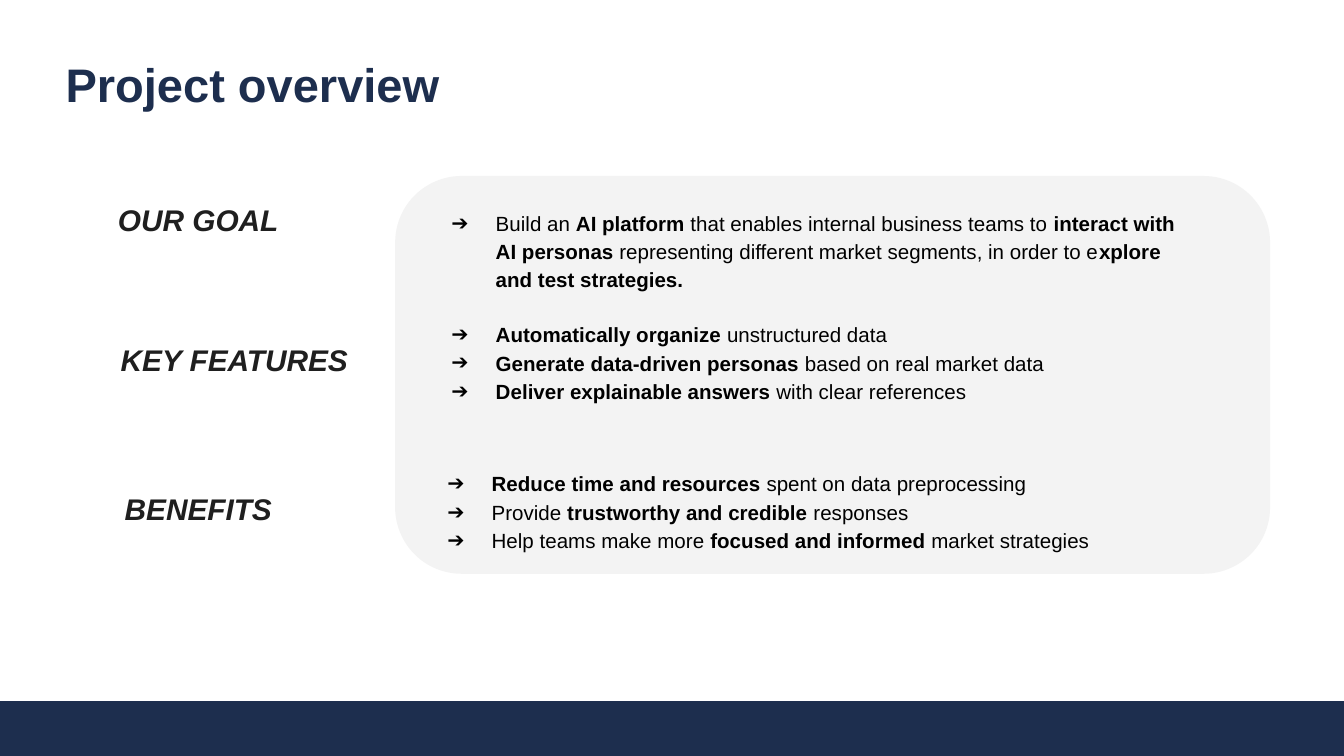
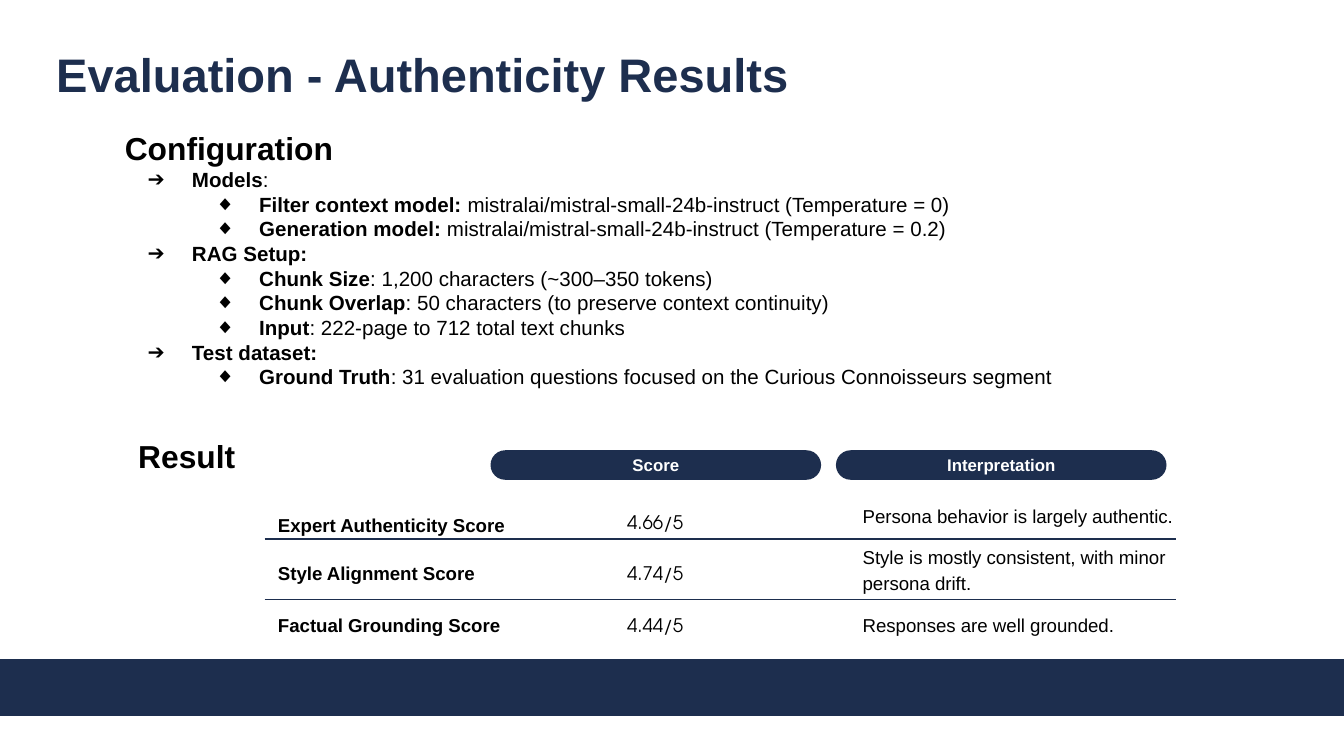
from lxml import etree
from pptx import Presentation
from pptx.dml.color import RGBColor
from pptx.enum import shapes as es, text as et
from pptx.oxml.ns import qn
from pptx.util import Inches, Pt

NAVY, BLACK, WHITE = "1D2E4E", "000000", "FFFFFF"
INK, PALE = "1F1F1F", "F3F3F3"
SANS, ROUND = "Arial", "TeX Gyre Adventor"
LEVELS = {"➔": 0, "◆": 1}
WIDE = 10
HIGH = WIDE * 9 / 16


def color(value):
    return RGBColor.from_string(value)


def bullet(para, sign):
    """Give a paragraph its hanging indent and bullet sign."""
    level = LEVELS[sign]
    para.level = level
    props = para._p.get_or_add_pPr()
    props.set("marL", str(Inches(0.5 * (level + 1))))
    props.set("indent", str(Inches(-0.33)))
    tint = etree.SubElement(props, qn("a:buClr"))
    etree.SubElement(tint, qn("a:srgbClr"), val=BLACK)
    etree.SubElement(props, qn("a:buFont"), typeface=SANS)
    etree.SubElement(props, qn("a:buChar"), char=sign)


def write(frame, lines, size=11, font=SANS, tint=BLACK, bold=False,
          italic=False, align=None, space=None, foot=0.1, head=None):
    """Fill a frame; *stars* switch bold, a leading sign makes a bullet,
    and head is the size of the first line."""
    frame.word_wrap = True
    frame.margin_left = frame.margin_right = frame.margin_top = Inches(0.1)
    frame.margin_bottom = Inches(foot)
    for i, line in enumerate(lines.split("\n")):
        para = frame.paragraphs[0] if i == 0 else frame.add_paragraph()
        if line[0] in LEVELS:
            bullet(para, line[0])
            line = line[1:]
        para.alignment = align
        if space:
            para.line_spacing = space
        for j, part in enumerate(line.split("*")):
            if not part:
                continue
            run = para.add_run()
            run.text = part
            run.font.size = Pt(head if head and i == 0 else size)
            run.font.name = font
            run.font.bold = bold or j % 2 == 1
            run.font.italic = italic
            run.font.color.rgb = color(tint)


def label(slide, lines, left, top, width, height, **style):
    box = slide.shapes.add_textbox(
        Inches(left), Inches(top), Inches(width), Inches(height))
    write(box.text_frame, lines, **style)


def block(slide, kind, left, top, width, height, fill, edge=None, bend=None):
    shape = slide.shapes.add_shape(
        kind, Inches(left), Inches(top), Inches(width), Inches(height))
    shape.shadow.inherit = False
    shape.fill.solid()
    shape.fill.fore_color.rgb = color(fill)
    if edge:
        shape.line.color.rgb = color(edge)
        shape.line.width = Pt(0.75)
    else:
        shape.line.fill.background()
    if bend is not None:
        shape.adjustments[0] = bend
    return shape


def rule(slide, left, top, width):
    line = slide.shapes.add_connector(
        es.MSO_CONNECTOR.STRAIGHT, Inches(left), Inches(top),
        Inches(left + width), Inches(top))
    line.line.color.rgb = color(NAVY)
    line.line.width = Pt(0.75)
    etree.SubElement(line._element.spPr, qn("a:effectLst"))


def title(slide, words, left, top, width):
    label(slide, words, left, top, width, 0.63,
          size=25.2, tint=NAVY, bold=True)


def band(slide, top):
    block(slide, es.MSO_SHAPE.RECTANGLE, 0, top, WIDE, 0.41, NAVY, NAVY)


def panel(slide, left, top):
    """Grey card with three bullet lists and their headings at its left."""
    block(slide, es.MSO_SHAPE.ROUNDED_RECTANGLE, left, top, 6.51, 2.96,
          PALE, bend=0.167)
    # heading, its x, y and width, then the list's x, y, width and lines
    parts = [
        ("OUR GOAL", -2.16, 0.09, 1.46, 0.15, 0.13, 5.88,
         "➔Build an *AI platform *that enables internal business teams to "
         "*interact with AI personas* representing different market "
         "segments, in order to e*xplore and test strategies.*"),
        ("KEY FEATURES", -2.14, 1.13, 2.01, 0.15, 0.96, 6.32,
         "➔*Automatically organize* unstructured data\n"
         "➔*Generate data-driven personas *based on real market data\n"
         "➔*Deliver explainable answers* with clear references"),
        ("BENEFITS", -2.11, 2.24, 1.37, 0.12, 2.07, 5.44,
         "➔*Reduce time and resources *spent on data preprocessing\n"
         "➔Provide* trustworthy and credible *responses\n"
         "➔Help teams make more *focused and informed* market strategies"),
    ]
    for name, x, y, wide, lx, ly, span, lines in parts:
        label(slide, name, left + x, top + y, wide, 0.47,
              size=16, tint=INK, bold=True, italic=True)
        label(slide, lines, left + lx, top + ly, span, 0.81, space=1.15)


def setup(slide, left, top):
    label(slide,
          "*Configuration*\n"
          "➔*Models*:\n"
          "◆*Filter context model: *"
          "mistralai/mistral-small-24b-instruct (Temperature = 0)\n"
          "◆*Generation model:* "
          "mistralai/mistral-small-24b-instruct (Temperature = 0.2)\n"
          "➔*RAG Setup:*\n"
          "◆*Chunk Size*: 1,200 characters (~300–350 tokens)\n"
          "◆*Chunk Overlap*: 50 characters (to preserve context continuity)\n"
          "◆*Input*: 222-page to 712 total text chunks\n"
          "➔*Test dataset:*\n"
          "◆*Ground Truth*: 31 evaluation questions focused on the "
          "Curious Connoisseurs segment",
          left, top, 8.21, 2.15, head=17)


def scores(slide, left, top):
    """Result heading, column pills, and three ruled rows of scores."""
    label(slide, "Result", left, top, 1.03, 0.49, size=17, bold=True)
    for x, name in ((2.72, "Score"), (5.29, "Interpretation")):
        pill = block(slide, es.MSO_SHAPE.ROUNDED_RECTANGLE, left + x,
                     top + 0.2, 2.46, 0.22, NAVY, bend=0.5)
        write(pill.text_frame, name, size=9, tint=WHITE, bold=True,
              align=et.PP_ALIGN.CENTER)
        pill.text_frame.vertical_anchor = et.MSO_ANCHOR.MIDDLE
    for y in (0.86, 1.31):
        rule(slide, left + 1.04, top + y, 6.78)
    # name, score, row top, line spacing of the name, note, note top
    rows = [
        ("Expert Authenticity Score", "4.66/5", 0.55, 1.15,
         "Persona behavior is largely authentic.", 0.48),
        ("Style Alignment Score", "4.74/5", 0.93, None,
         "Style is mostly consistent, with minor\npersona drift.", 0.79),
        ("Factual Grounding Score", "4.44/5", 1.32, None,
         "Responses are well grounded.", 1.29),
    ]
    for name, score, y, space, note, ny in rows:
        label(slide, name, left + 1.04, top + y, 2.06, 0.27,
              size=10, bold=True, space=space, foot=0)
        label(slide, score, left + 3.53, top + y, 0.83, 0.27,
              size=10, font=ROUND, align=et.PP_ALIGN.CENTER, foot=0)
        label(slide, note, left + 5.39, top + ny, 2.58, 0.46,
              size=10, space=1.15, foot=0)


def outline(slide):
    title(slide, "Project overview", 0.39, 0.31, 3.06)
    band(slide, 5.22)
    panel(slide, 2.94, 1.31)


def results(slide):
    title(slide, "Evaluation - Authenticity Results", 0.32, 0.24, 7.18)
    band(slide, 4.91)
    setup(slide, 0.83, 0.86)
    scores(slide, 0.93, 3.15)


def main():
    deck = Presentation()
    deck.slide_width, deck.slide_height = Inches(WIDE), Inches(HIGH)
    for build in (outline, results):
        build(deck.slides.add_slide(deck.slide_layouts[6]))
    deck.save("out.pptx")


if __name__ == "__main__":
    main()
